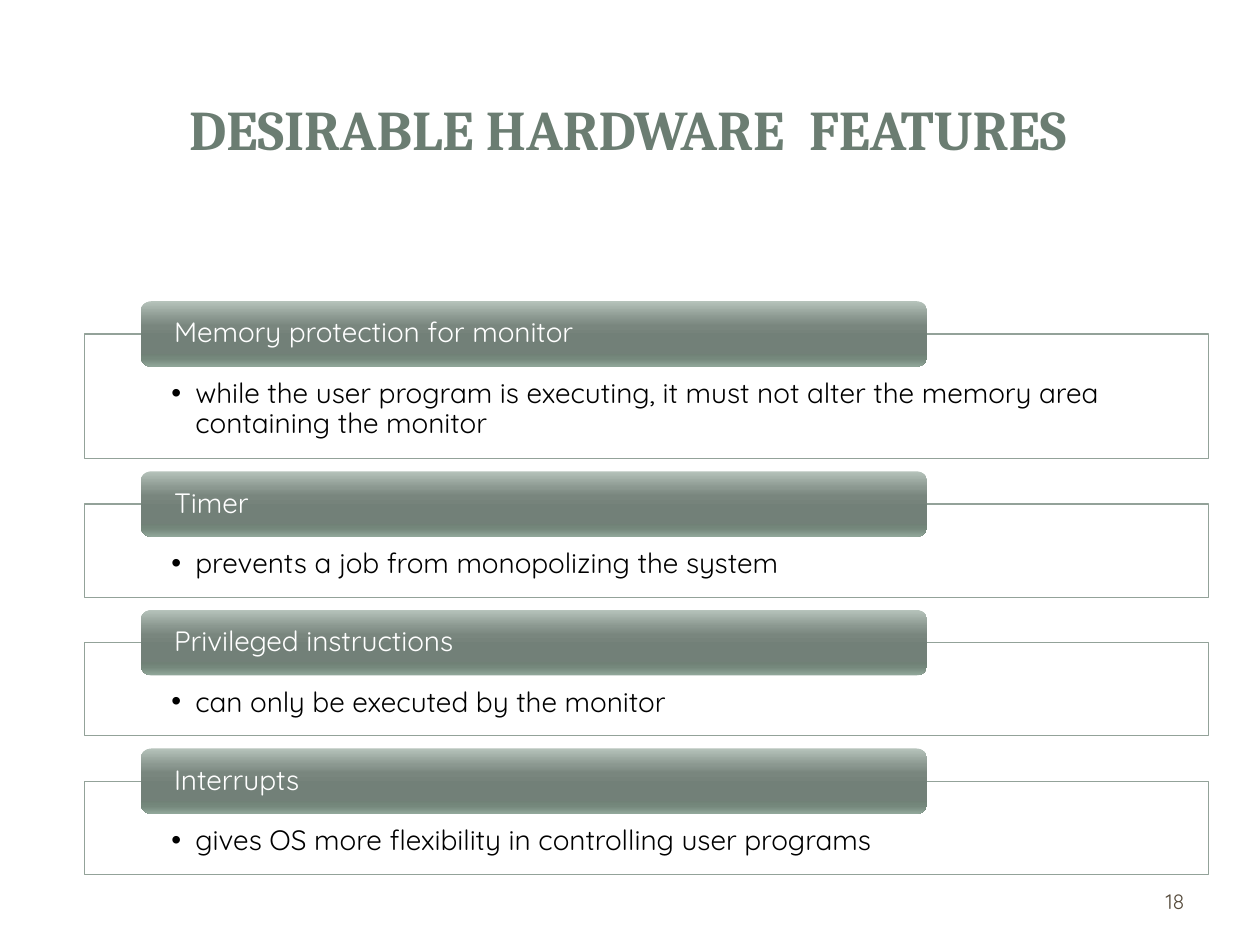
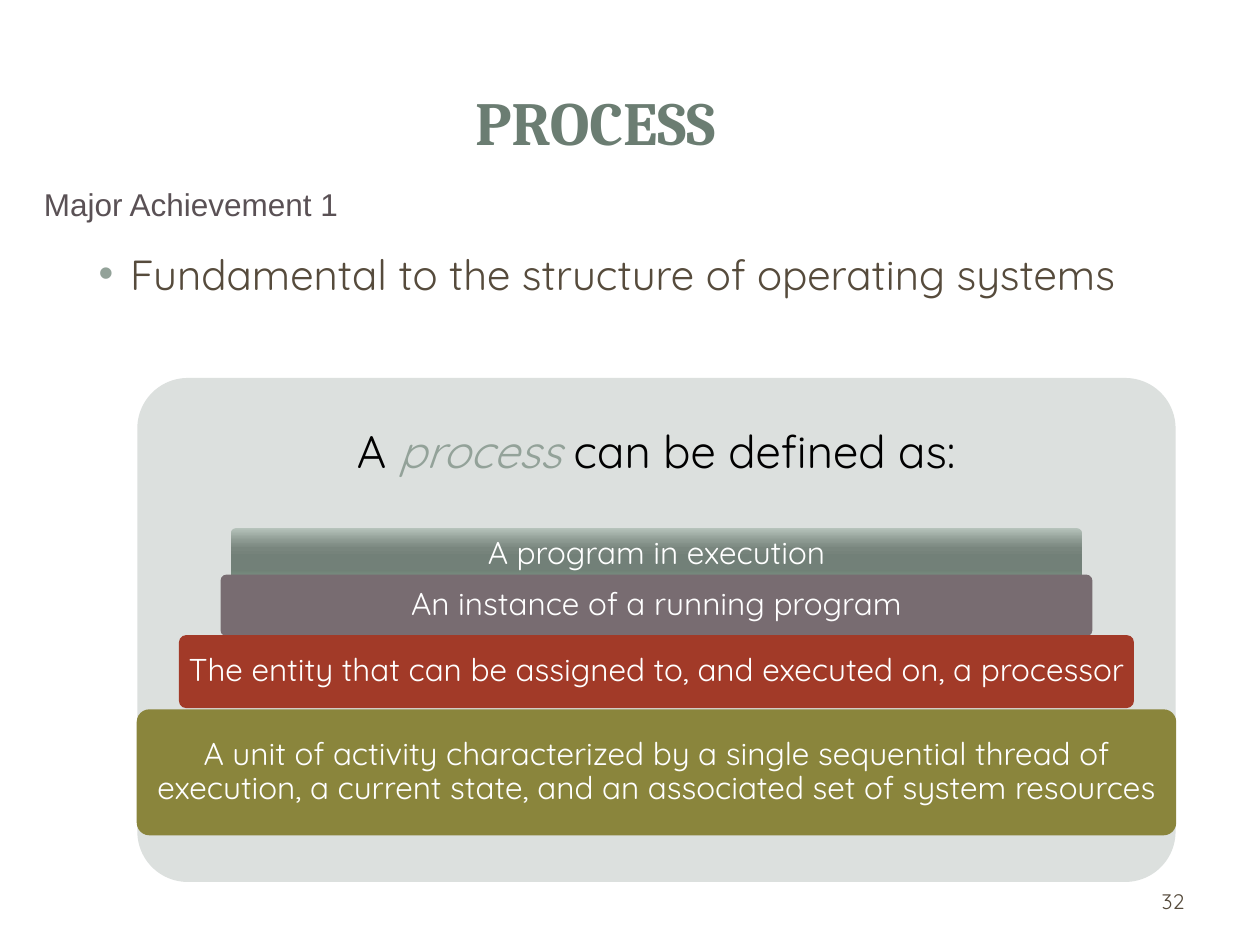
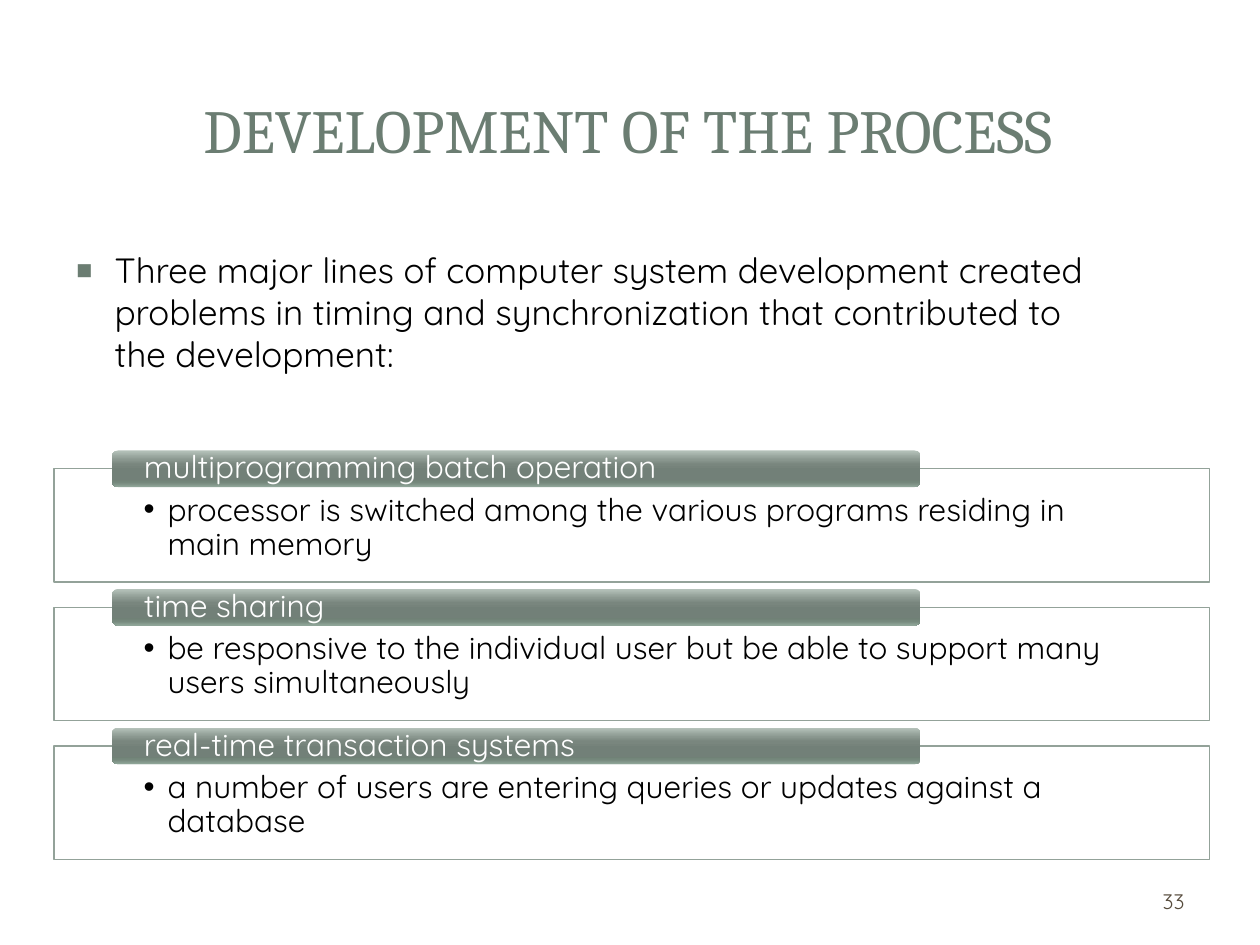
from lxml.etree import SubElement
from pptx import Presentation
from pptx.dml.color import RGBColor
from pptx.enum.shapes import MSO_SHAPE as SHAPE
from pptx.enum.text import MSO_ANCHOR as ANCHOR, MSO_AUTO_SIZE as AUTO_SIZE, PP_ALIGN as ALIGN
from pptx.oxml.ns import qn
from pptx.util import Inches, Pt

WHITE = RGBColor(0xFF, 0xFF, 0xFF)
BLACK = RGBColor(0, 0, 0)
TITLE_GREEN = RGBColor(0x6B, 0x7D, 0x72)
SAGE = RGBColor(0x93, 0xA2, 0x99)
BROWN = RGBColor(0x56, 0x4B, 0x3C)
GREY = RGBColor(0x5A, 0x51, 0x55)
PALE = RGBColor(0xDC, 0xE0, 0xDE)
MAUVE = RGBColor(0x78, 0x6C, 0x71)
RED = RGBColor(0xA2, 0x3A, 0x28)
OLIVE = RGBColor(0x8A, 0x85, 0x3C)
GLOSS = [(0, "B6C3BB"), (25, "8B9890"), (38, "79867E"), (55, "728078"),
         (80, "708176"), (88, "75887C"), (100, "91A79A")]

HEAD_FONT, BODY_FONT, LABEL_FONT = "Cambria", "Quicksand", "Arial"
TITLE_BOX = (0.47, 0.45, 9.03, 1.14)
NUMBER_BOX = (7.17, 6.95, 2.33, 0.4)
TITLE_ONLY, TITLE_AND_BODY = 5, 1

# (heading, detail, panel height)
FEATURES = [
    ("Memory protection for monitor",
     "while the user program is executing, it must not alter the memory area "
     "containing the monitor", 0.99),
    ("Timer", "prevents a job from monopolizing the system", 0.74),
    ("Privileged instructions", "can only be executed by the monitor", 0.74),
    ("Interrupts", "gives OS more flexibility in controlling user programs", 0.74),
]
DEVELOPMENTS = [
    ("multiprogramming batch operation",
     "processor is switched among the various programs residing in main memory", 0.9),
    ("time sharing",
     "be responsive to the individual user but be able to support many users "
     "simultaneously", 0.9),
    ("real-time transaction systems",
     "a number of users are entering queries or updates against a database", 0.9),
]
# (text, top, width, height, fill)
DEFINITIONS = [
    ("A program in execution", 4.19, 6.75, 0.42, GLOSS),
    ("An instance of a running program", 4.56, 6.92, 0.49, MAUVE),
    ("The entity that can be assigned to, and executed on, a processor",
     5.04, 7.58, 0.58, RED),
    ("A unit of activity characterized by a single sequential thread of execution, "
     "a current state, and an associated set of system resources", 5.63, 8.25, 1, OLIVE),
]
DEFINITION_CENTRE = 5.21


def place(s, box):
    s.left, s.top, s.width, s.height = (Inches(v) for v in box)


def style_run(r, size, color, font=BODY_FONT, bold=False, italic=False):
    f = r.font
    f.size, f.name, f.bold, f.italic = Pt(size), font, bold, italic
    f.color.rgb = color


def write(s, text, size, color, font=BODY_FONT, bold=False, align=ALIGN.LEFT,
          anchor=ANCHOR.MIDDLE, insets=None, spacing=1.0):
    """Fill a shape with one formatted paragraph and return the paragraph."""
    tf = s.text_frame
    tf.text = text
    tf.word_wrap = True
    tf.auto_size = AUTO_SIZE.NONE
    tf.vertical_anchor = anchor
    if insets:
        tf.margin_left, tf.margin_top, tf.margin_right, tf.margin_bottom = (
            Inches(v) for v in insets)
    p = tf.paragraphs[0]
    p.alignment, p.line_spacing = align, spacing
    p.space_before = Pt(0)
    style_run(p.runs[0], size, color, font, bold)
    return p


def set_bullet(p, char, indent, hang, color, percent=100):
    pPr = p._p.get_or_add_pPr()
    pPr.set("marL", str(Inches(indent)))
    pPr.set("indent", str(-Inches(hang)))
    clr = SubElement(pPr, qn("a:buClr"))
    SubElement(clr, qn("a:srgbClr"), val=str(color))
    SubElement(pPr, qn("a:buSzPct"), val=str(percent * 1000))
    SubElement(pPr, qn("a:buFont"), typeface=LABEL_FONT)
    SubElement(pPr, qn("a:buChar"), char=char)


def add_box(slide, kind, box, fill, line=None, radius=None):
    """Add a shape; fill is one colour or a list of gradient stops."""
    s = slide.shapes.add_shape(kind, *(Inches(v) for v in box))
    s.shadow.inherit = False
    if isinstance(fill, list):
        s.fill.gradient()
        s.fill.gradient_angle = 270
        stops = s._element.spPr.find(qn("a:gradFill")).find(qn("a:gsLst"))
        stops.clear()
        for pos, color in fill:
            gs = SubElement(stops, qn("a:gs"), pos=str(pos * 1000))
            SubElement(gs, qn("a:srgbClr"), val=color)
    else:
        s.fill.solid()
        s.fill.fore_color.rgb = fill
    if line:
        s.line.color.rgb = line
        s.line.width = Pt(0.75)
    else:
        s.line.fill.background()
    if radius:
        s.adjustments[0] = radius
    return s


def add_text(slide, box, text, size, color, **options):
    s = slide.shapes.add_textbox(*(Inches(v) for v in box))
    return write(s, text, size, color, **options)


def add_slide(prs, layout, title, number, size=35, bold=True, box=TITLE_BOX,
              align=ALIGN.CENTER):
    slide = prs.slides.add_slide(prs.slide_layouts[layout])
    place(slide.shapes.title, box)
    write(slide.shapes.title, title, size, TITLE_GREEN, HEAD_FONT, bold, align)
    add_text(slide, NUMBER_BOX, str(number), 12, BROWN, align=ALIGN.RIGHT)
    return slide


def add_body(slide, box, text, size, color, align=ALIGN.LEFT):
    body = slide.placeholders[1]
    place(body, box)
    return write(body, text, size, color, align=align, anchor=ANCHOR.TOP)


def add_panels(slide, items, left, top, width, gap, bar_height, insets, size):
    """Stack outlined panels, each with a heading bar centred on its top edge."""
    for heading, detail, height in items:
        panel = add_box(slide, SHAPE.RECTANGLE, (left, top, width, height), WHITE, SAGE)
        p = write(panel, detail, size, BLACK, anchor=ANCHOR.TOP, insets=insets, spacing=0.9)
        set_bullet(p, "•", 0.19, 0.19, BLACK)
        bar_box = (left + 0.05 * width, top - bar_height / 2, 0.7 * width, bar_height)
        bar = add_box(slide, SHAPE.ROUNDED_RECTANGLE, bar_box, GLOSS)
        write(bar, heading, size, WHITE, insets=(0.24, 0, 0.24, 0), spacing=0.9)
        top += height + gap


def build_features(prs):
    slide = add_slide(prs, TITLE_ONLY, "DESIRABLE HARDWARE  FEATURES", 18, size=32)
    add_panels(slide, FEATURES, left=0.67, top=2.65, width=8.92, gap=0.36,
               bar_height=0.52, insets=(0.69, 0.36, 0.69, 0.12), size=16)


def build_process(prs):
    slide = add_slide(prs, TITLE_AND_BODY, "PROCESS", 32,
                      box=(3.67, 0.25, 6, 1.42), align=ALIGN.LEFT)
    p = add_body(slide, (0.25, 1.92, 9, 0.9),
                 "Fundamental to the structure of operating systems", 24, BROWN, ALIGN.CENTER)
    set_bullet(p, "•", 0.38, 0.25, SAGE)
    add_text(slide, (0.25, 1.42, 2.56, 0.4), "Major Achievement 1", 18, GREY,
             font=LABEL_FONT, anchor=ANCHOR.TOP)

    add_box(slide, SHAPE.ROUNDED_RECTANGLE, (1.09, 3, 8.24, 4), PALE, radius=0.1)
    p = add_text(slide, (1.09, 3, 8.24, 1.2), "A ", 26, BLACK,
                 align=ALIGN.CENTER, spacing=0.9)
    for text, color, italic in (("process ", SAGE, True), ("can be defined as:", BLACK, False)):
        r = p.add_run()
        r.text = text
        style_run(r, 26, color, italic=italic)

    for text, top, width, height, fill in DEFINITIONS:
        box = (DEFINITION_CENTRE - width / 2, top, width, height)
        bar = add_box(slide, SHAPE.ROUNDED_RECTANGLE, box, fill, radius=0.1)
        write(bar, text, 18, WHITE, align=ALIGN.CENTER, insets=(0.04,) * 4, spacing=0.9)


def build_development(prs):
    slide = add_slide(prs, TITLE_AND_BODY, "DEVELOPMENT OF THE PROCESS", 33, bold=False)
    p = add_body(slide, (0.5, 1.92, 8.3, 1.48),
                 "Three major lines of computer system development created problems in timing "
                 "and synchronization that contributed to the development:", 20, BLACK)
    set_bullet(p, "▪", 0.31, 0.31, TITLE_GREEN, 150)
    add_panels(slide, DEVELOPMENTS, left=0.43, top=3.72, width=9.17, gap=0.2,
               bar_height=0.29, insets=(0.71, 0.2, 0.71, 0.14), size=18)


def main():
    prs = Presentation()
    prs.slide_width, prs.slide_height = Inches(10), Inches(7.5)
    build_features(prs)
    build_process(prs)
    build_development(prs)
    prs.save("out.pptx")


if __name__ == "__main__":
    main()
